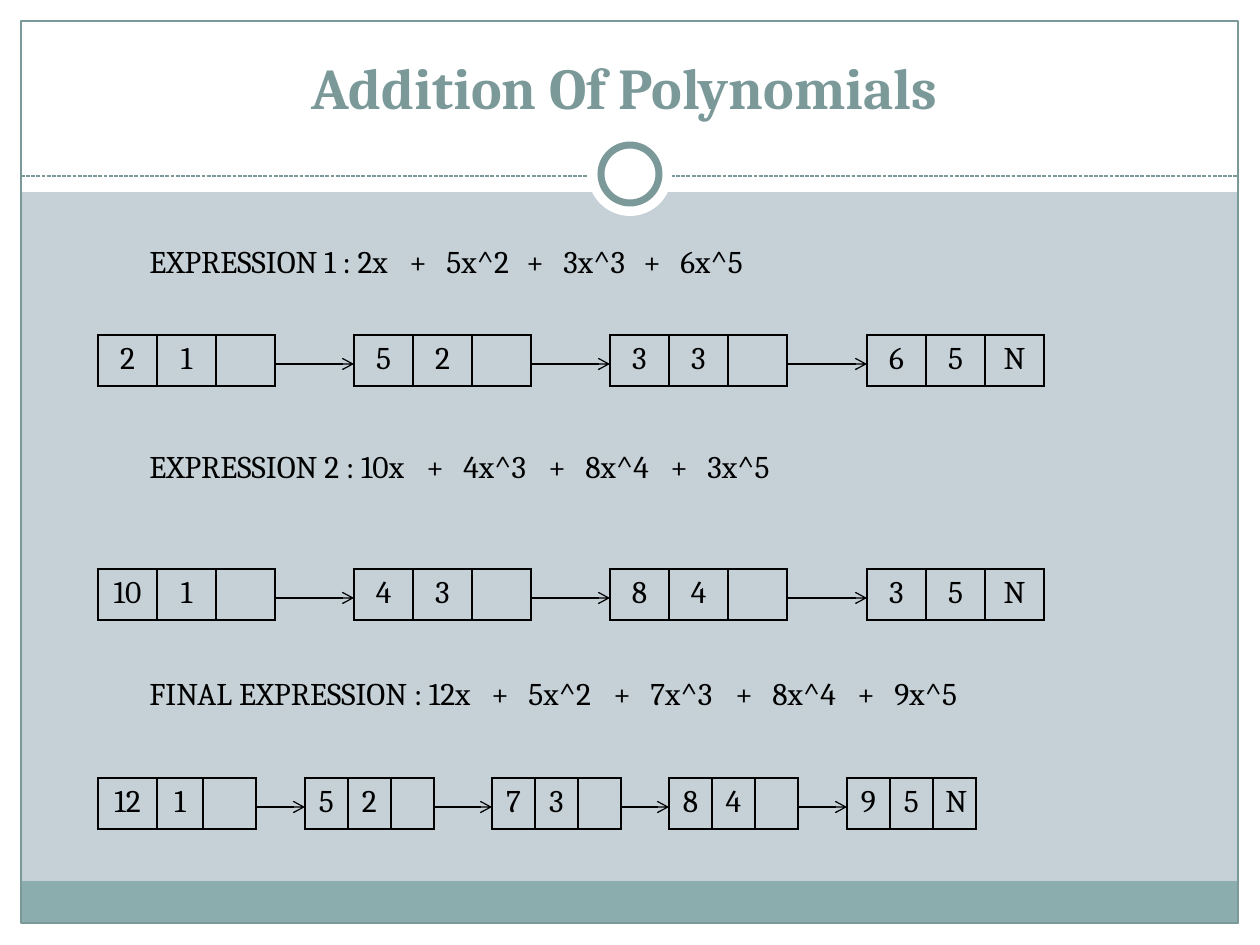
from dataclasses import dataclass
from typing import Any, NamedTuple

from lxml import etree
from pptx import Presentation
from pptx.dml.color import RGBColor
from pptx.enum.dml import MSO_LINE
from pptx.enum.shapes import MSO_CONNECTOR, MSO_SHAPE
from pptx.enum.text import MSO_ANCHOR, PP_ALIGN
from pptx.oxml.ns import qn
from pptx.util import Emu, Pt

RECTANGLE, OVAL = MSO_SHAPE.RECTANGLE, MSO_SHAPE.OVAL
STRAIGHT = MSO_CONNECTOR.STRAIGHT
DASHED = MSO_LINE.SQUARE_DOT
CENTER, LEFT = PP_ALIGN.CENTER, PP_ALIGN.LEFT
TOP, BOTTOM = MSO_ANCHOR.TOP, MSO_ANCHOR.BOTTOM
EMU_PER_PX = 914400 / 126


@dataclass(frozen=True)
class Theme:
    font: str = "Cambria"
    backdrop: str = "C5D1D7"
    paper: str = "FFFFFF"
    accent: str = "7C999A"
    footer: str = "8CADAE"
    ink: str = "000000"
    title_size: int = 33
    body_size: int = 18
    thin: float = 0.75
    border: float = 1
    ring: float = 4


class Area(NamedTuple):
    left: int
    top: int
    width: int
    height: int


class Panel(NamedTuple):
    shape: int
    area: Area
    fill: str | None
    line: str | None = None
    weight: float = 0


class Node(NamedTuple):
    left: int
    columns: tuple[int, int, int]
    values: tuple[str, ...]


class Polynomial(NamedTuple):
    label: str
    terms: tuple[str, ...]
    label_top: int
    first_tab: int
    tab_pitch: int
    nodes_top: int
    nodes: tuple[Node, ...]


THEME = Theme()
NODE_HEIGHT = 51
ARROW_DROP = 29
PLUS_TO_TERM = 37
WIDE = (59, 59, 59)
NARROW = (43, 43, 43)
WIDE_LEFTS = (98, 354, 610, 867)
FINAL_LEFTS = (98, 305, 492, 669, 847)
FINAL_COLUMNS = ((59, 46, 53), NARROW, NARROW, NARROW, NARROW)

PANELS = (
    Panel(RECTANGLE, Area(0, 924, 1260, 21), THEME.paper),
    Panel(RECTANGLE, Area(0, 0, 1260, 192), THEME.paper),
    Panel(RECTANGLE, Area(0, 0, 21, 945), THEME.paper),
    Panel(RECTANGLE, Area(1239, 0, 21, 945), THEME.paper),
    Panel(RECTANGLE, Area(21, 881, 1217, 43), THEME.footer),
    Panel(RECTANGLE, Area(21, 21, 1217, 902), None, THEME.accent, THEME.thin),
)
RINGS = (
    Panel(OVAL, Area(588, 132, 84, 84), THEME.paper),
    Panel(OVAL, Area(601, 145, 58, 58), THEME.paper, THEME.accent, THEME.ring),
)


def chain(cells: str, lefts: tuple[int, ...], columns: tuple) -> tuple[Node, ...]:
    """Turn 'coefficient exponent [N]' groups split by commas into nodes."""
    groups = (tuple(group.split()) for group in cells.split(","))
    return tuple(Node(*parts) for parts in zip(lefts, columns, groups))


POLYNOMIALS = (
    Polynomial("EXPRESSION 1 : ", ("2x", "5x^2", "3x^3", "6x^5"), 236, 260, 117, 335,
               chain("2 1, 5 2, 3 3, 6 5 N", WIDE_LEFTS, (WIDE,) * 4)),
    Polynomial("EXPRESSION 2 : ", ("10x", "4x^3", "8x^4", "3x^5"), 441, 277, 122, 569,
               chain("10 1, 4 3, 8 4, 3 5 N", WIDE_LEFTS, (WIDE,) * 4)),
    Polynomial("FINAL EXPRESSION : ", ("12x", "5x^2", "7x^3", "8x^4", "9x^5"),
               668, 342, 122, 778,
               chain("12 1, 5 2, 7 3, 8 4, 9 5 N", FINAL_LEFTS, FINAL_COLUMNS)),
)


def px(length: int) -> Emu:
    return Emu(round(length * EMU_PER_PX))


def color(code: str) -> RGBColor:
    return RGBColor.from_string(code)


def write(frame: Any, text: str, *, size: int = THEME.body_size, ink: str = THEME.ink,
          bold: bool = False, align: int = LEFT, tabs: tuple[int, ...] = ()) -> None:
    para = frame.paragraphs[0]
    para.alignment = align
    if tabs:
        stops = etree.SubElement(para._p.get_or_add_pPr(), qn("a:tabLst"))
        for stop in tabs:
            etree.SubElement(stops, qn("a:tab"), pos=str(px(stop)), algn="l")
    span = para.add_run()
    span.text = text
    span.font.name, span.font.size, span.font.bold = THEME.font, Pt(size), bold
    span.font.color.rgb = color(ink)


def add_text(page: Any, area: Area, text: str, anchor: int = TOP, **style: Any) -> None:
    frame = page.shapes.add_textbox(*map(px, area)).text_frame
    frame.word_wrap = True
    frame.vertical_anchor = anchor
    write(frame, text, **style)


def add_panel(page: Any, panel: Panel) -> None:
    shape = page.shapes.add_shape(panel.shape, *map(px, panel.area))
    shape.shadow.inherit = False
    if panel.fill:
        shape.fill.solid()
        shape.fill.fore_color.rgb = color(panel.fill)
    else:
        shape.fill.background()
    if panel.line:
        shape.line.color.rgb = color(panel.line)
        shape.line.width = Pt(panel.weight)
    else:
        shape.line.fill.background()


def add_rule(page: Any, left: int, right: int, top: int, ink: str) -> Any:
    """Draw a thin horizontal line and return it."""
    rule = page.shapes.add_connector(STRAIGHT, px(left), px(top), px(right), px(top))
    rule.line.color.rgb = color(ink)
    rule.line.width = Pt(THEME.thin)
    etree.SubElement(rule._element.spPr, qn("a:effectLst"))
    return rule


def add_arrow(page: Any, left: int, right: int, top: int) -> None:
    arrow = add_rule(page, left, right, top, THEME.ink)
    etree.SubElement(arrow.line._get_or_add_ln(), qn("a:tailEnd"), type="arrow")


def outline(cell: Any) -> None:
    properties = cell._tc.get_or_add_tcPr()
    for side in ("lnL", "lnR", "lnT", "lnB"):
        edge = etree.SubElement(properties, qn(f"a:{side}"), w=str(Pt(THEME.border)))
        fill = etree.SubElement(edge, qn("a:solidFill"))
        etree.SubElement(fill, qn("a:srgbClr"), val=THEME.ink)
    cell.fill.background()


def add_node(page: Any, node: Node, top: int) -> None:
    area = Area(node.left, top, sum(node.columns), NODE_HEIGHT)
    table = page.shapes.add_table(1, len(node.columns), *map(px, area)).table
    table.first_row = table.horz_banding = False
    for index, width in enumerate(node.columns):
        table.columns[index].width = px(width)
        outline(table.cell(0, index))
    for index, value in enumerate(node.values):
        write(table.cell(0, index).text_frame, value, align=CENTER)


def add_polynomial(page: Any, polynomial: Polynomial) -> None:
    """Draw the expression line and its linked list of nodes."""
    tabs = tuple(polynomial.first_tab + step * polynomial.tab_pitch + shift
                 for step in range(len(polynomial.terms) - 1)
                 for shift in (0, PLUS_TO_TERM))
    add_text(page, Area(137, polynomial.label_top, 1000, 50),
             polynomial.label + "\t+\t".join(polynomial.terms), tabs=tabs)
    for node in polynomial.nodes:
        add_node(page, node, polynomial.nodes_top)
    for node, following in zip(polynomial.nodes, polynomial.nodes[1:]):
        add_arrow(page, node.left + sum(node.columns), following.left,
                  polynomial.nodes_top + ARROW_DROP)


def main() -> None:
    deck = Presentation()
    deck.slide_width, deck.slide_height = px(1260), px(945)
    page = deck.slides.add_slide(deck.slide_layouts[6])
    page.background.fill.solid()
    page.background.fill.fore_color.rgb = color(THEME.backdrop)
    for panel in PANELS:
        add_panel(page, panel)
    add_rule(page, 21, 1239, 176, THEME.accent).line.dash_style = DASHED
    for ring in RINGS:
        add_panel(page, ring)
    add_text(page, Area(236, 39, 777, 88), "Addition Of Polynomials", BOTTOM,
             size=THEME.title_size, ink=THEME.accent, bold=True, align=CENTER)
    for polynomial in POLYNOMIALS:
        add_polynomial(page, polynomial)
    deck.save("out.pptx")


if __name__ == "__main__":
    main()
